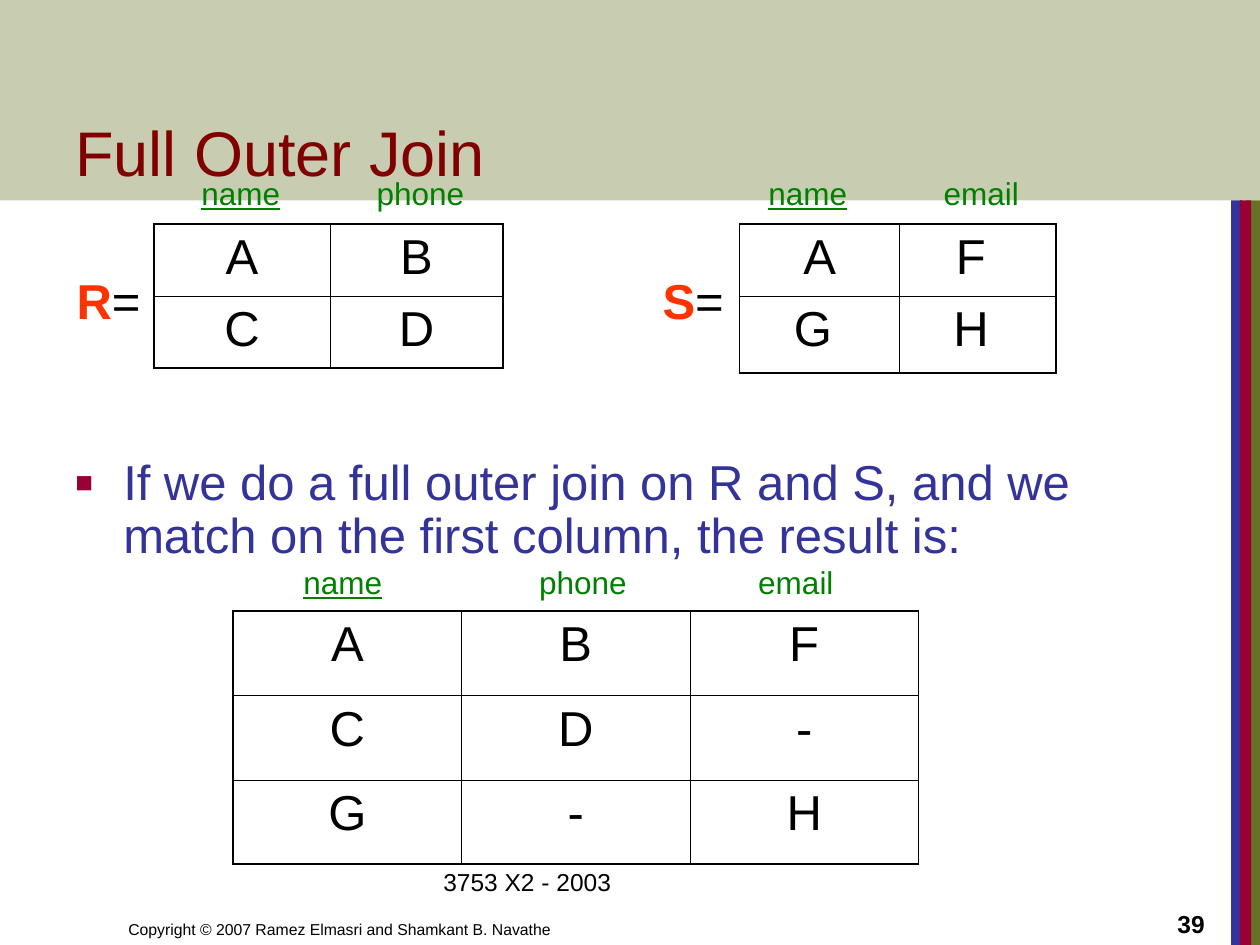
from lxml.etree import SubElement
from pptx import Presentation
from pptx.dml.color import RGBColor
from pptx.enum.shapes import MSO_SHAPE
from pptx.enum.text import MSO_ANCHOR, MSO_AUTO_SIZE, PP_ALIGN
from pptx.oxml import parse_xml
from pptx.oxml.ns import nsdecls, qn
from pptx.util import Inches, Pt

BLACK = RGBColor(0x00, 0x00, 0x00)
OLIVE = RGBColor(0x67, 0x72, 0x28)
NAVY = RGBColor(0x33, 0x33, 0x99)
WINE = RGBColor(0x99, 0x00, 0x33)
MAROON = RGBColor(0x80, 0x00, 0x00)
GREEN = RGBColor(0x00, 0x80, 0x00)
RED = RGBColor(0xFF, 0x33, 0x00)


def style(font, size, color, bold=False):
    font.name = "Arial"
    font.size = Pt(size)
    font.color.rgb = color
    font.bold = bold


def add_bar(slide, box, color):
    bar = slide.shapes.add_shape(MSO_SHAPE.RECTANGLE, *map(Inches, box))
    bar.shadow.inherit = False
    bar.fill.solid()
    bar.fill.fore_color.rgb = color
    bar.line.fill.background()
    return bar


def add_frame(slide, box):
    left, top, width, height = box
    band = add_bar(slide, (left, top, width, 1.59), OLIVE)
    tint = band.fill._xPr.find(".//" + qn("a:srgbClr"))
    SubElement(tint, qn("a:alpha"), val="36000")
    for x, wide, color in ((9.89, 0.11, OLIVE), (9.77, 0.09, NAVY), (9.84, 0.09, WINE)):
        add_bar(slide, (left + x, top + 1.59, wide, height - 1.59), color)


def add_text(slide, box, text, size, color, bold=False, anchor=MSO_ANCHOR.TOP,
             align=PP_ALIGN.LEFT, wrap=True):
    frame = slide.shapes.add_textbox(*map(Inches, box)).text_frame
    frame.word_wrap = wrap
    if not wrap:
        frame.auto_size = MSO_AUTO_SIZE.SHAPE_TO_FIT_TEXT
    frame.vertical_anchor = anchor
    para = frame.paragraphs[0]
    para.text = text
    para.alignment = align
    for run in para.runs:
        style(run.font, size, color, bold)
    return para


def add_bullet(slide, box, text):
    para = add_text(slide, box, text, 28, NAVY)
    props = para._p.get_or_add_pPr()
    props.set("marL", str(Inches(0.38)))
    props.set("indent", str(-Inches(0.38)))
    mark = SubElement(props, qn("a:buClr"))
    SubElement(mark, qn("a:srgbClr"), val=str(WINE))
    SubElement(props, qn("a:buSzPct"), val="60000")
    SubElement(props, qn("a:buFont"), typeface="Arial")
    SubElement(props, qn("a:buChar"), char="■")
    para.line_spacing = 0.9


def add_heads(slide, box, names, stops):
    para = add_text(slide, box, names[0], 18, GREEN)
    para.runs[0].font.underline = True
    tabs = SubElement(para._p.get_or_add_pPr(), qn("a:tabLst"))
    for name, stop in zip(names[1:], stops):
        SubElement(tabs, qn("a:tab"), pos=str(Inches(stop)), algn="l")
        run = para.add_run()
        run.text = "\t" + name
        style(run.font, 18, GREEN)


def add_label(slide, box, name):
    para = add_text(slide, box, name, 28, RED, True, wrap=False)
    run = para.add_run()
    run.text = "="
    style(run.font, 28, BLACK)


def set_edges(cell, outer):
    cell.fill.background()
    props = cell._tc.get_or_add_tcPr()
    for spot, side in enumerate("LRTB"):
        width = Pt(1.08 if side in outer else 0.45)
        props.insert(spot, parse_xml(
            f'<a:ln{side} {nsdecls("a")} w="{width}"><a:solidFill>'
            f'<a:srgbClr val="{BLACK}"/></a:solidFill></a:ln{side}>'))


def add_grid(slide, box, rows, widths, heights):
    tall, wide = len(rows), len(rows[0])
    grid = slide.shapes.add_table(tall, wide, *map(Inches, box)).table
    grid.first_row = grid.horz_banding = False
    for col, width in zip(grid.columns, widths):
        col.width = Inches(width)
    for row, height in zip(grid.rows, heights):
        row.height = Inches(height)
    for r, row in enumerate(rows):
        for c, text in enumerate(row):
            cell = grid.cell(r, c)
            para = cell.text_frame.paragraphs[0]
            para.text = text
            para.alignment = PP_ALIGN.CENTER
            style(para.runs[0].font, 28, BLACK)
            edges = {"L": c == 0, "R": c == wide - 1, "T": r == 0, "B": r == tall - 1}
            set_edges(cell, [side for side, on in edges.items() if on])


def add_source(slide, box, name, heads, rows, widths, heights, inset):
    left, top, width, height = box
    add_label(slide, (left - 0.71, top + 0.32, 0.72, 0.57), name)
    add_grid(slide, box, rows, widths, heights)
    add_heads(slide, (left + inset, top - 0.45, 2.4, 0.4), heads, [1.39])


def add_result(slide, box):
    left, top, width, height = box
    rows = [("A", "B", "F"), ("C", "D", "-"), ("G", "-", "H")]
    add_grid(slide, box, rows, [width / 3] * 3, [height / 3] * 3)
    add_heads(slide, (left + 0.46, top - 0.43, 4.86, 0.4),
              ("name", "phone", "email"), (1.87, 3.61))


def add_footer(slide, box):
    left, top, width, height = box
    add_text(slide, (left, top, 4.92, height),
             "Copyright © 2007 Ramez Elmasri and Shamkant B. Navathe",
             9, BLACK, anchor=MSO_ANCHOR.BOTTOM)
    add_text(slide, (left + 2.5, top - 0.17, 3.17, 0.52), "3753 X2 - 2003", 14, BLACK)
    add_text(slide, (left + width - 2.08, top, 2.08, height), "39", 14, BLACK, True,
             MSO_ANCHOR.BOTTOM, PP_ALIGN.RIGHT)


def main():
    deck = Presentation()
    deck.slide_width, deck.slide_height = Inches(10), Inches(7.5)
    slide = deck.slides.add_slide(deck.slide_layouts[6])
    add_frame(slide, (0, 0, 10, 7.5))
    add_footer(slide, (0.92, 7, 8.74, 0.5))
    add_text(slide, (0.5, 0.3, 9, 1.25), "Full Outer Join", 36, MAROON,
             anchor=MSO_ANCHOR.BOTTOM)
    add_bullet(slide, (0.5, 3.59, 8.91, 1.02),
               "If we do a full outer join on R and S, and we match on the "
               "first column, the result is:")
    add_source(slide, (1.22, 1.78, 2.77, 1.13), "R", ("name", "phone"),
               [("A", "B"), ("C", "D")], (1.4, 1.37), (0.57, 0.57), 0.28)
    add_source(slide, (5.87, 1.78, 2.52, 1.18), "S", ("name", "email"),
               [("A", "F "), ("G ", "H ")], (1.27, 1.24), (0.57, 0.61), 0.13)
    add_result(slide, (1.85, 4.85, 5.44, 2.01))
    deck.save("out.pptx")


if __name__ == "__main__":
    main()
